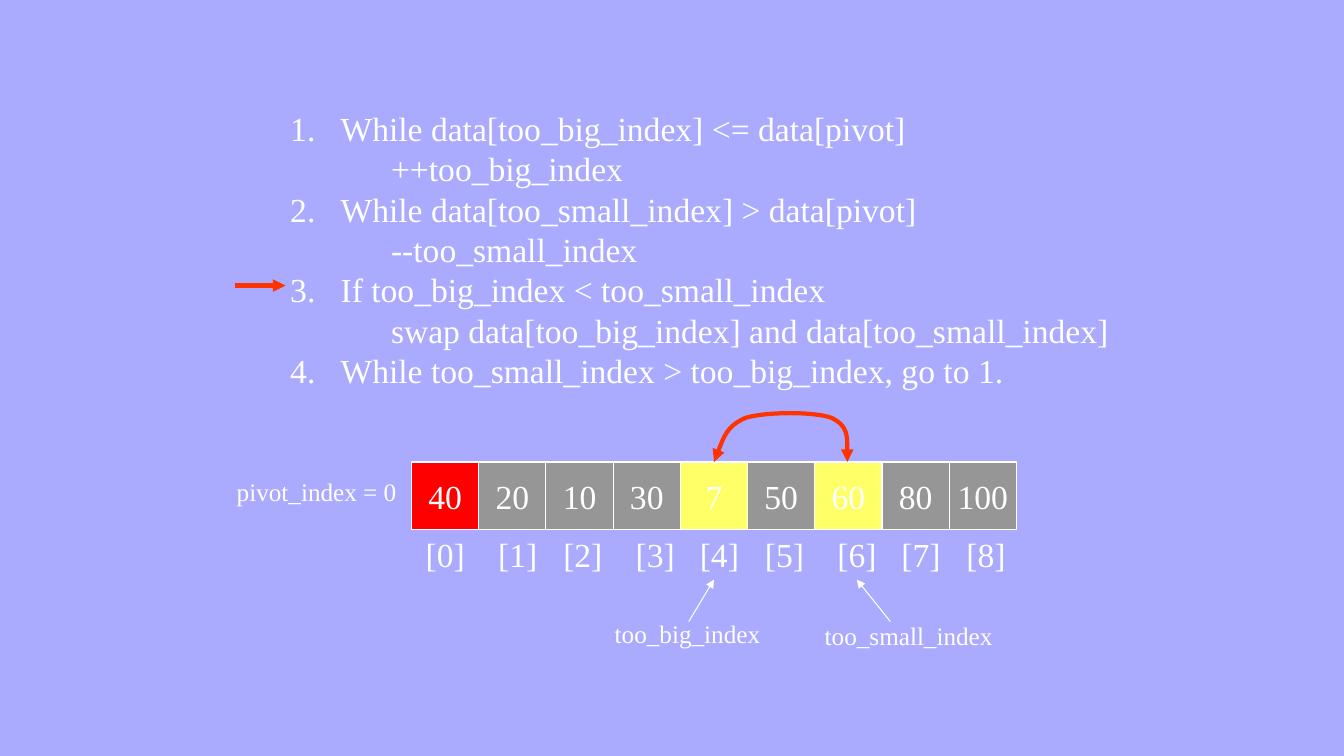
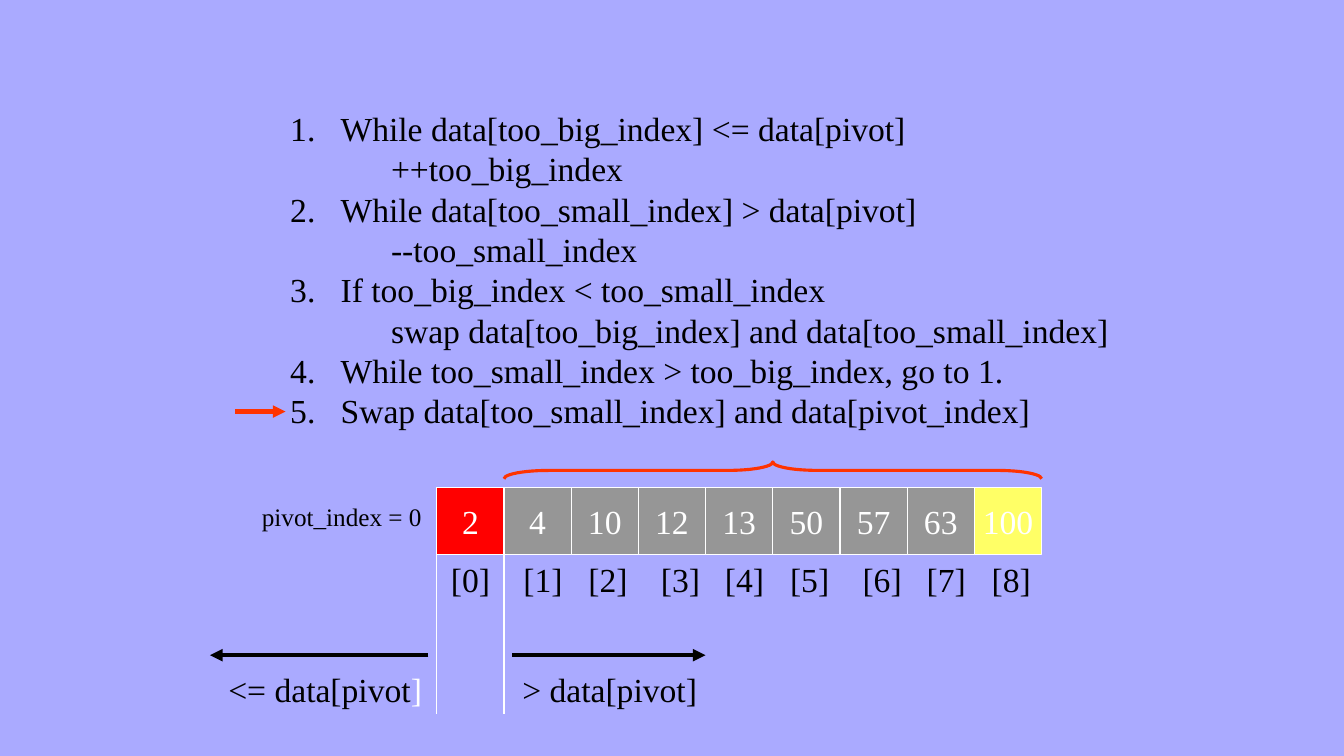
import pptx
import pptx.util
import pptx.dml.color
import pptx.enum.shapes
import pptx.enum.text
import pptx.oxml
import pptx.oxml.ns
import lxml.etree

PX = 9525
FONT = "Times New Roman"
BG, WHITE, BLACK = "AAAAFF", "FFFFFF", "000000"
RED, GRAY, YELLOW, ORANGE = "FF0000", "969696", "FFFF66", "FF3300"
CELL = 64
STEP_X, STEP_Y = 267, 98
INDENT = 48
INDEX_STOPS = [69, 131, 200, 261, 323, 392, 453, 515]

STEPS = [
    (0, "While data[too_big_index] <= data[pivot]"),
    (1, "++too_big_index"),
    (0, "While data[too_small_index] > data[pivot]"),
    (1, "--too_small_index"),
    (0, "If too_big_index < too_small_index"),
    (1, "swap data[too_big_index] and data[too_small_index]"),
    (0, "While too_small_index > too_big_index, go to 1."),
]
LAST_STEP = (0, "Swap data[too_small_index] and data[pivot_index]")

SWAP_SLIDE = {
    "ink": WHITE, "steps": STEPS, "arrow_y": 272, "origin": (392, 440),
    "values": [40, 20, 10, 30, 7, 50, 60, 80, 100], "marked": [4, 6],
}
POINTERS = [
    ("too_big_index", (576, 584, 304, 38), (656, 592, 680, 552)),
    ("too_small_index", (776, 586, 224, 38), (848, 592, 816, 552)),
]
SWAP_CURVE = [
    (680, 440),
    (687, 422), (692, 406), (710, 398),
    (730, 392), (776, 392), (792, 398),
    (808, 406), (807, 422), (807, 440),
]

PARTITION_SLIDE = {
    "ink": BLACK, "steps": STEPS + [LAST_STEP], "arrow_y": 392, "origin": (416, 464),
    "values": [2, 4, 10, 12, 13, 50, 57, 63, 100], "marked": [8],
}
SIDES = [
    ([("<= data[pivot", BLACK), ("]", WHITE)], (208, 632, 208, 48), (408, 624, 200, 624)),
    ([("> data[pivot]", BLACK)], (488, 632, 190, 48), (488, 624, 672, 624)),
]


def px(*values):
    return [pptx.util.Emu(round(v * PX)) for v in values]


def rgb(color):
    return pptx.dml.color.RGBColor.from_string(color)


def add_runs(p, runs, size):
    p.line_spacing = pptx.util.Pt(size * 1.2)
    for text, color in runs:
        r = p.add_run()
        r.text = text
        r.font.name = FONT
        r.font.size = pptx.util.Pt(size)
        r.font.color.rgb = rgb(color)


def add_text(s, box, runs, size=24):
    tf = s.shapes.add_textbox(*px(*box)).text_frame
    tf.word_wrap = True
    add_runs(tf.paragraphs[0], runs, size)
    return tf


def style_line(line, color, width, ends=()):
    line.color.rgb = rgb(color)
    line.width = pptx.util.Pt(width)
    ln = line._get_or_add_ln()
    for end in ends:
        lxml.etree.SubElement(ln, pptx.oxml.ns.qn("a:" + end)).set("type", "triangle")


def add_line(s, ends, color, width, arrow=True):
    c = s.shapes.add_connector(pptx.enum.shapes.MSO_CONNECTOR.STRAIGHT, *px(*ends))
    style_line(c.line, color, width, ["tailEnd"] if arrow else [])
    lxml.etree.SubElement(c._element.spPr, pptx.oxml.ns.qn("a:effectLst"))


def add_steps(s, steps, ink):
    tf = s.shapes.add_textbox(*px(STEP_X, STEP_Y, 808, 10 + 39 * len(steps))).text_frame
    tf.word_wrap = True
    for i, (level, text) in enumerate(steps):
        p = tf.add_paragraph() if i else tf.paragraphs[0]
        p.level = level
        pPr = p._p.get_or_add_pPr()
        pPr.set("marL", str(INDENT * (level + 1) * PX))
        pPr.set("indent", str(0 if level else -INDENT * PX))
        add_runs(p, [(text, ink)], 24)
        bullet = lxml.etree.SubElement(pPr, pptx.oxml.ns.qn("a:buNone" if level else "a:buAutoNum"))
        if not level:
            bullet.set("type", "arabicPeriod")


def add_array(s, x, y, values, marked, ink):
    for i, value in enumerate(values):
        sp = s.shapes.add_shape(pptx.enum.shapes.MSO_SHAPE.RECTANGLE,
                                *px(x + i * CELL, y, CELL, CELL))
        sp.shadow.inherit = False
        sp.fill.solid()
        sp.fill.fore_color.rgb = rgb(RED if i == 0 else YELLOW if i in marked else GRAY)
        style_line(sp.line, WHITE, 0.75)
        tf = sp.text_frame
        tf.word_wrap = False
        tf.vertical_anchor = pptx.enum.text.MSO_ANCHOR.MIDDLE
        tf.paragraphs[0].alignment = pptx.enum.text.PP_ALIGN.CENTER
        add_runs(tf.paragraphs[0], [(str(value), WHITE)], 24)
    add_text(s, (x - 176, y + 9, 176, 38), [("pivot_index = 0", ink)], 18)
    labels = "\t".join(f"[{i}]" for i in range(len(values)))
    tf = add_text(s, (x + 4, y + CELL, 592, 48), [(labels, ink)])
    tabs = lxml.etree.SubElement(tf.paragraphs[0]._p.get_or_add_pPr(), pptx.oxml.ns.qn("a:tabLst"))
    for stop in INDEX_STOPS:
        tab = lxml.etree.SubElement(tabs, pptx.oxml.ns.qn("a:tab"))
        tab.set("pos", str(stop * PX))
        tab.set("algn", "l")


def add_slide(prs, data):
    s = prs.slides.add_slide(prs.slide_layouts[6])
    s.background.fill.solid()
    s.background.fill.fore_color.rgb = rgb(BG)
    add_steps(s, data["steps"], data["ink"])
    add_line(s, (224, data["arrow_y"], 272, data["arrow_y"]), ORANGE, 3)
    add_array(s, *data["origin"], data["values"], data["marked"], data["ink"])
    return s


def add_swap_curve(s):
    builder = s.shapes.build_freeform(*SWAP_CURVE[0], scale=PX)
    builder.add_line_segments(SWAP_CURVE[1:], close=False)
    sp = builder.convert_to_shape()
    sp.shadow.inherit = False
    sp.fill.background()
    style_line(sp.line, ORANGE, 3, ["headEnd", "tailEnd"])
    segments = sp._element.xpath(".//a:lnTo")
    outline = segments[0].getparent()
    for i in range(0, len(segments), 3):
        curve = lxml.etree.SubElement(outline, pptx.oxml.ns.qn("a:cubicBezTo"))
        for segment in segments[i:i + 3]:
            curve.append(segment[0])
            outline.remove(segment)


def add_brace(s, x, y, width, height):
    left, top = x + (width - height) / 2, y + (height - width) / 2
    sp = s.shapes.add_shape(pptx.enum.shapes.MSO_SHAPE.LEFT_BRACE, *px(left, top, height, width))
    sp.rotation = 90
    sp.adjustments[0] = 2.67
    sp.shadow.inherit = False
    sp.fill.background()
    style_line(sp.line, ORANGE, 2.25)


def main():
    prs = pptx.Presentation()
    prs.slide_width, prs.slide_height = px(1280, 720)

    s = add_slide(prs, SWAP_SLIDE)
    for text, box, ends in POINTERS:
        add_text(s, box, [(text, WHITE)], 18)
        add_line(s, ends, WHITE, 0.75)
    add_swap_curve(s)

    s = add_slide(prs, PARTITION_SLIDE)
    x, y = PARTITION_SLIDE["origin"]
    add_brace(s, x + CELL, y - 24, 8 * CELL, 16)
    for edge in (x, x + CELL):
        add_line(s, (edge, y, edge, 680), WHITE, 0.75, arrow=False)
    for runs, box, ends in SIDES:
        add_text(s, box, runs)
        add_line(s, ends, BLACK, 3)

    prs.save("out.pptx")


if __name__ == "__main__":
    main()
